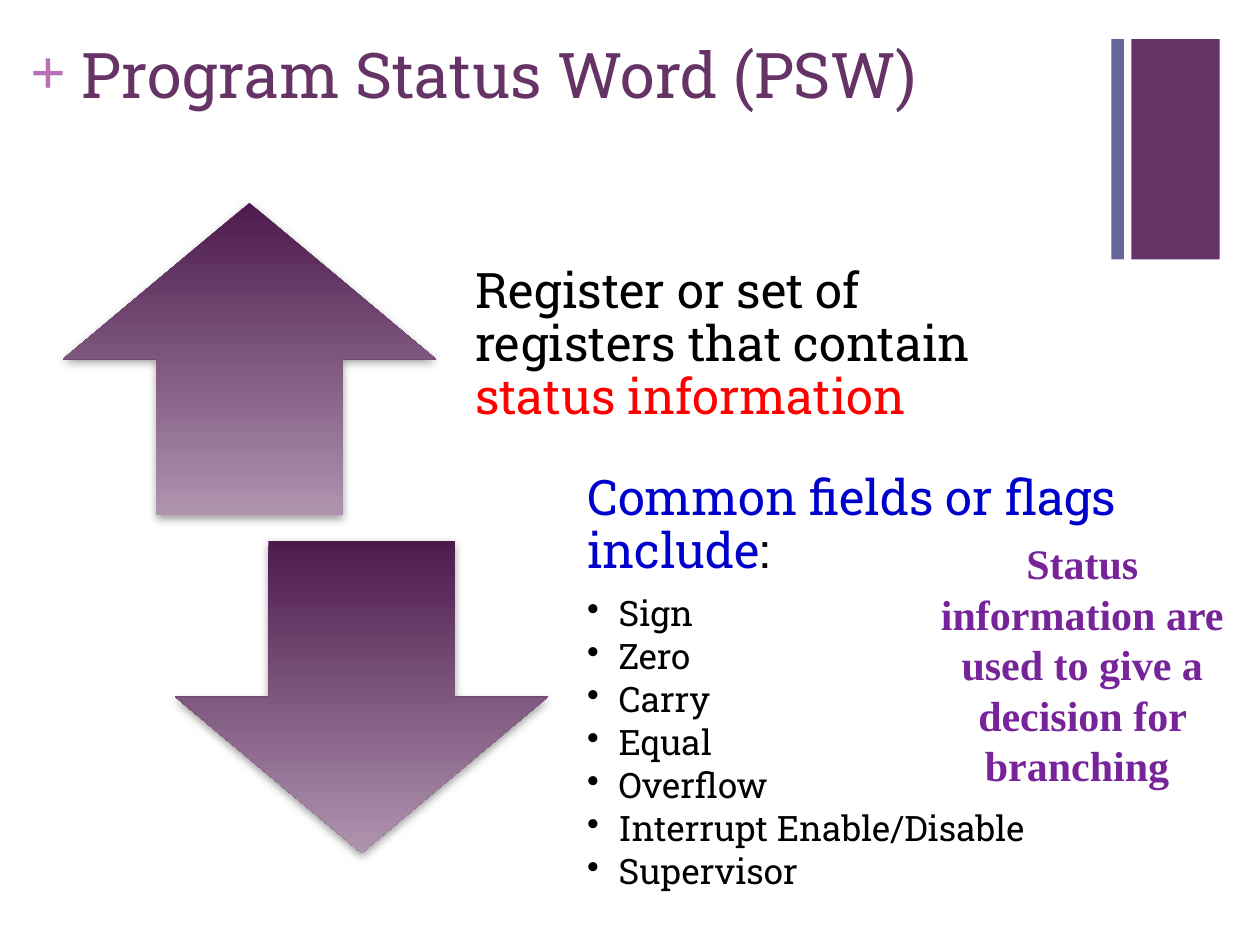
from collections import namedtuple

from lxml.etree import SubElement
from pptx import Presentation
from pptx.dml.color import RGBColor
from pptx.enum.shapes import MSO_SHAPE as Preset
from pptx.enum.text import MSO_ANCHOR as Anchor, MSO_AUTO_SIZE as AutoSize, PP_ALIGN as Align
from pptx.oxml.ns import qn
from pptx.util import Inches, Pt

Box = namedtuple("Box", "left top width height")
COLUMNS, ROWS = 10, 7.5  # grid of one-inch cells
SLAB, SERIF = "Roboto Slab", "Times New Roman"
PLUM, BLACK = "663366", "000000"
FLAGS = ["Sign", "Zero", "Carry", "Equal", "Overflow", "Interrupt Enable/Disable", "Supervisor"]


def color(value):
    return RGBColor.from_string(value)


def add_span(para, text, size, font, ink, bold=False):
    span = para.add_run()
    span.text = text
    span.font.size, span.font.name, span.font.bold = Pt(size), font, bold
    span.font.color.rgb = color(ink)


def add_frame(page, box, insets=(0.1, 0.05, 0.1, 0.05), anchor=Anchor.TOP):
    """Add a wrapping text box and return its text frame."""
    frame = page.shapes.add_textbox(*map(Inches, box)).text_frame
    frame.word_wrap, frame.vertical_anchor = True, anchor
    frame.margin_left, frame.margin_top, frame.margin_right, frame.margin_bottom = map(Inches, insets)
    return frame


def add_shape(page, preset, box):
    shape = page.shapes.add_shape(preset, *map(Inches, box))
    shape.shadow.inherit = False
    shape.line.fill.background()
    return shape


def add_corner_bars(page, box):
    thin, gap = 0.1, 0.06
    wide = box.width - thin - gap
    for left, width, fill in ((box.left + thin + gap, wide, PLUM), (box.left, thin, "666699")):
        bar = add_shape(page, Preset.RECTANGLE, box._replace(left=left, width=width))
        bar.fill.solid()
        bar.fill.fore_color.rgb = color(fill)


def add_title(page, box):
    plus_width = 0.31
    plus = add_frame(page, Box(box.left, box.top + 0.02, 0.29, 0.61), (0, 0, 0, 0))
    plus.auto_size = AutoSize.SHAPE_TO_FIT_TEXT
    add_span(plus.paragraphs[0], "+", 36, SERIF, "B870B8", True)
    title = add_frame(page, box._replace(left=box.left + plus_width, width=box.width - plus_width))
    add_span(title.paragraphs[0], "Program Status Word (PSW)", 36, SLAB, PLUM)


def add_arrow(page, preset, box):
    arrow = add_shape(page, preset, box)
    arrow.fill.gradient()
    arrow.fill.gradient_angle = 270
    for stop, position, ink in zip(arrow.fill.gradient_stops, (0, 1), ("4D1A4D", "AF94AF")):
        stop.position, stop.color.rgb = position, color(ink)
    effects = arrow._element.spPr.find(qn("a:effectLst"))
    shadow = SubElement(effects, qn("a:outerShdw"), blurRad=str(Pt(5)), dist=str(Pt(2)),
                        dir="5400000", rotWithShape="0")
    ink = SubElement(shadow, qn("a:srgbClr"), val="808080")
    SubElement(ink, qn("a:alpha"), val="75000")


def set_spacing(para, after_percent):
    para.line_spacing = 0.9
    after = SubElement(para._p.get_or_add_pPr(), qn("a:spcAft"))
    SubElement(after, qn("a:spcPct"), val=str(after_percent * 1000))


def add_bullet(frame, text):
    para = frame.add_paragraph()
    para.level = 1
    set_spacing(para, 15)
    props = para._p.get_or_add_pPr()
    props.set("marL", str(Inches(0.25)))
    props.set("indent", str(-Inches(0.25)))
    SubElement(props, qn("a:buChar"), char="•")
    add_span(para, text, 20, SLAB, BLACK)


def add_arrow_row(page, box, preset, text_height, heading, bullets=()):
    """Place an arrow at the left and text centred on its height at the right."""
    arrow_width, text_offset = 2.96, 3.05
    add_arrow(page, preset, box._replace(width=arrow_width))
    text_box = Box(box.left + text_offset, box.top + (box.height - text_height) / 2,
                   box.width - text_offset, text_height)
    frame = add_frame(page, text_box, (0.22, 0, 0.22, 0.22), Anchor.MIDDLE)
    para = frame.paragraphs[0]
    set_spacing(para, 35)
    for text, ink in heading:
        add_span(para, text, 28, SLAB, ink)
    for text in bullets:
        add_bullet(frame, text)


def add_remark(page, box):
    frame = add_frame(page, box)
    frame.auto_size = AutoSize.SHAPE_TO_FIT_TEXT
    para = frame.paragraphs[0]
    para.alignment = Align.CENTER
    add_span(para, "Status information are used to give a decision for branching ",
             24, SERIF, "772399", True)


def main():
    deck = Presentation()
    deck.slide_width, deck.slide_height = Inches(COLUMNS), Inches(ROWS)
    page = deck.slides.add_slide(deck.slide_layouts[6])
    add_corner_bars(page, Box(8.82, 0.31, 0.86, 1.75))
    add_title(page, Box(0.24, 0.23, 8.57, 0.74))
    row = Box(0.5, 1.61, 8.06, 2.48)
    add_arrow_row(page, row, Preset.UP_ARROW, row.height,
                  [("Register or set of registers that contain ", BLACK),
                   ("status information", "FF0000")])
    lower_row = row._replace(left=row.left + 0.89, top=row.top + 2.68)
    add_arrow_row(page, lower_row, Preset.DOWN_ARROW, 3.72,
                  [("Common fields or flags include", "0000CC"), (":", BLACK)], FLAGS)
    add_remark(page, Box(7.34, 4.22, 2.5, 2.12))
    deck.save("out.pptx")


if __name__ == "__main__":
    main()
